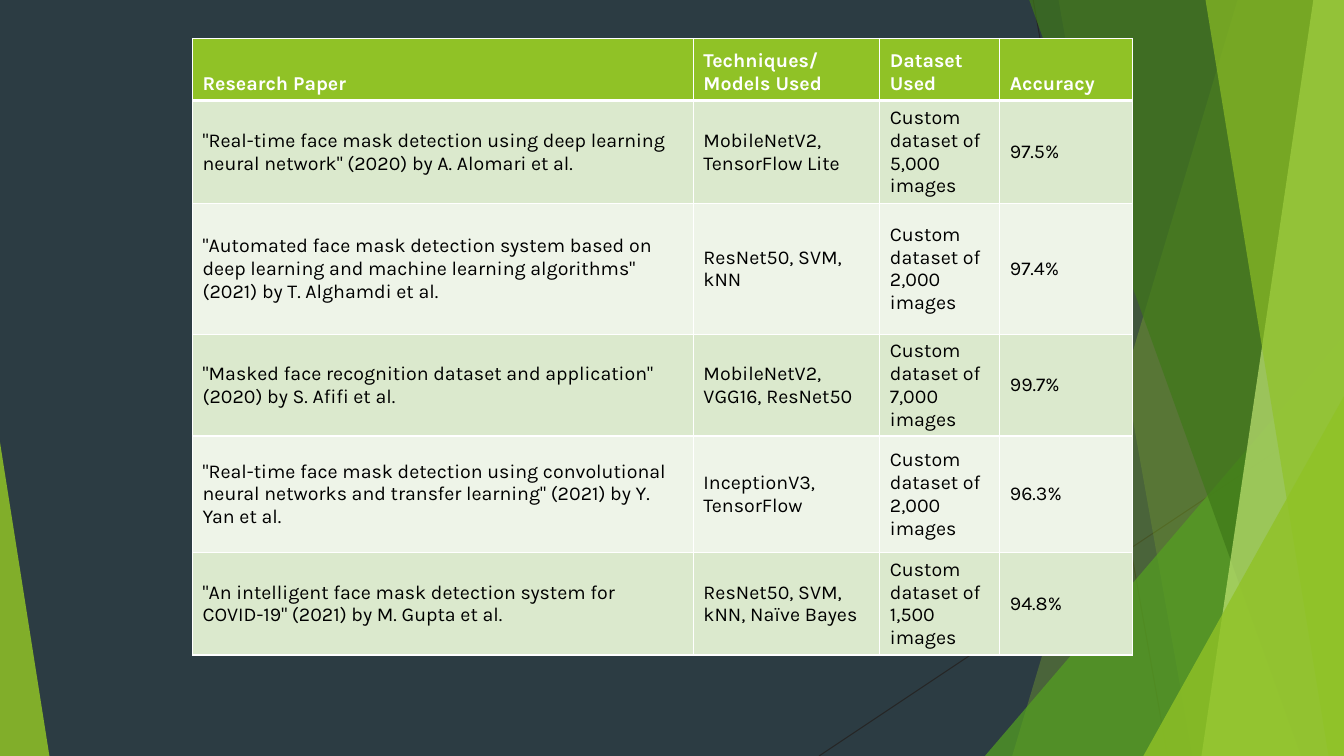
from pptx import Presentation
from pptx.dml.color import RGBColor
from pptx.enum import shapes, text
from pptx.oxml import parse_xml
from pptx.oxml.ns import nsdecls, qn
from pptx.util import Pt
from lxml import etree

SLATE = RGBColor(0x2C, 0x3C, 0x43)
CHARCOAL = RGBColor(0x26, 0x26, 0x26)
LIME = RGBColor(0x90, 0xC2, 0x26)
GREEN = RGBColor(0x54, 0xA0, 0x21)
FOREST = RGBColor(0x3F, 0x78, 0x19)
PALE_LIME = RGBColor(0xC0, 0xE4, 0x74)
BAND_DARK = RGBColor(0xDB, 0xE9, 0xCD)
BAND_LIGHT = RGBColor(0xEE, 0xF4, 0xE8)
WHITE = RGBColor(0xFF, 0xFF, 0xFF)
BLACK = RGBColor(0, 0, 0)

WIDTH, HEIGHT = 960, 540
BLEED = -0.6
COLUMNS = [357.8, 133.2, 85.7, 95]
ROWS = [44.5, 73.5, 93.5, 72.5, 83.5, 73]

HEADINGS = ["Research Paper", "Techniques/Models Used", "Dataset Used", "Accuracy"]
PAPERS = [
    ('"Real-time face mask detection using deep learning neural network" (2020) by A. Alomari et al.',
     "MobileNetV2, TensorFlow Lite", "5,000", "97.5%"),
    ('"Automated face mask detection system based on deep learning and machine learning algorithms" '
     "(2021) by T. Alghamdi et al.",
     "ResNet50, SVM, kNN", "2,000", "97.4%"),
    ('"Masked face recognition dataset and application" (2020) by S. Afifi et al.',
     "MobileNetV2, VGG16, ResNet50", "7,000", "99.7%"),
    ('"Real-time face mask detection using convolutional neural networks and transfer learning" '
     "(2021) by Y. Yan et al.",
     "InceptionV3, TensorFlow", "2,000", "96.3%"),
    ('"An intelligent face mask detection system for COVID-19" (2021) by M. Gupta et al.',
     "ResNet50, SVM, kNN, Naïve Bayes", "1,500", "94.8%"),
]


def add_line(s, x1, y1, x2, y2):
    cx = s.shapes.add_connector(shapes.MSO_CONNECTOR.STRAIGHT, Pt(x1), Pt(y1), Pt(x2), Pt(y2))
    cx.line.color.rgb = CHARCOAL
    cx.line.width = Pt(0.75)
    etree.SubElement(cx._element.spPr, qn("a:effectLst"))


def paint(sp, color, opacity):
    sp.shadow.inherit = False
    sp.line.fill.background()
    sp.fill.solid()
    sp.fill.fore_color.rgb = color
    clr = sp._element.spPr.find(qn("a:solidFill"))[0]
    etree.SubElement(clr, qn("a:alpha"), val=str(opacity * 1000))


def add_facet(s, top_x, bottom_x, color, opacity):
    fb = s.shapes.build_freeform(Pt(top_x), Pt(BLEED))
    corners = [(WIDTH, BLEED), (WIDTH, HEIGHT), (bottom_x, HEIGHT)]
    fb.add_line_segments([(Pt(x), Pt(y)) for x, y in corners], close=True)
    paint(fb.convert_to_shape(), color, opacity)


def add_triangle(s, x, y, w, apex, color, opacity):
    sp = s.shapes.add_shape(shapes.MSO_SHAPE.ISOSCELES_TRIANGLE,
                            Pt(x), Pt(y), Pt(w), Pt(HEIGHT - y))
    sp.adjustments[0] = apex
    paint(sp, color, opacity)


def write(tf, content, *, size=14, font="Karla", color=BLACK, bold=False):
    r = tf.paragraphs[0].add_run()
    r.text = content
    r.font.size = Pt(size)
    r.font.name = font
    r.font.color.rgb = color
    r.font.bold = bold


def set_borders(cell, top, bottom):
    tcPr = cell._tc.get_or_add_tcPr()
    for side, width in (("L", 1), ("R", 1), ("T", top), ("B", bottom)):
        tcPr.append(parse_xml(
            f'<a:ln{side} {nsdecls("a")} w="{Pt(width)}"><a:solidFill>'
            f'<a:srgbClr val="{WHITE}"/></a:solidFill></a:ln{side}>'))


def fill_cell(cell, content, row):
    header = row == 0
    set_borders(cell, 3 if row == 1 else 1, 3 if header else 1)
    cell.fill.solid()
    cell.fill.fore_color.rgb = LIME if header else (BAND_LIGHT, BAND_DARK)[row % 2]
    cell.vertical_anchor = text.MSO_ANCHOR.BOTTOM if header else text.MSO_ANCHOR.MIDDLE
    write(cell.text_frame, content, color=WHITE if header else BLACK, bold=header)


def add_papers_table(s):
    table = s.shapes.add_table(len(ROWS), len(COLUMNS), Pt(137.5), Pt(27.4),
                               Pt(sum(COLUMNS)), Pt(sum(ROWS))).table
    for column, width in zip(table.columns, COLUMNS):
        column.width = Pt(width)
    for row, height in zip(table.rows, ROWS):
        row.height = Pt(height)
    body = [(paper, models, f"Custom dataset of {count} images", accuracy)
            for paper, models, count, accuracy in PAPERS]
    for i, values in enumerate([HEADINGS] + body):
        for j, value in enumerate(values):
            fill_cell(table.cell(i, j), value, i)


def add_backdrop(s):
    s.background.fill.solid()
    s.background.fill.fore_color.rgb = SLATE
    add_line(s, 738, 0, 834, HEIGHT)
    add_line(s, WIDTH, 290, 585, HEIGHT)
    add_facet(s, 884.2, 723, LIME, 30)
    add_facet(s, 756, 851.8, LIME, 20)
    add_triangle(s, 703.5, 240, 256.5, 1, GREEN, 72)
    add_facet(s, 735, 929.5, FOREST, 70)
    add_facet(s, 938.2, 858.2, PALE_LIME, 70)
    add_facet(s, 861, 949, LIME, 65)
    add_triangle(s, 816.7, 283, 143.3, 1, LIME, 80)
    add_triangle(s, 0, 316, 35.3, 0, LIME, 85)


def main():
    prs = Presentation()
    prs.slide_width, prs.slide_height = Pt(WIDTH), Pt(HEIGHT)
    s = prs.slides.add_slide(prs.slide_layouts[6])
    add_backdrop(s)
    add_papers_table(s)
    prs.save("out.pptx")


if __name__ == "__main__":
    main()
